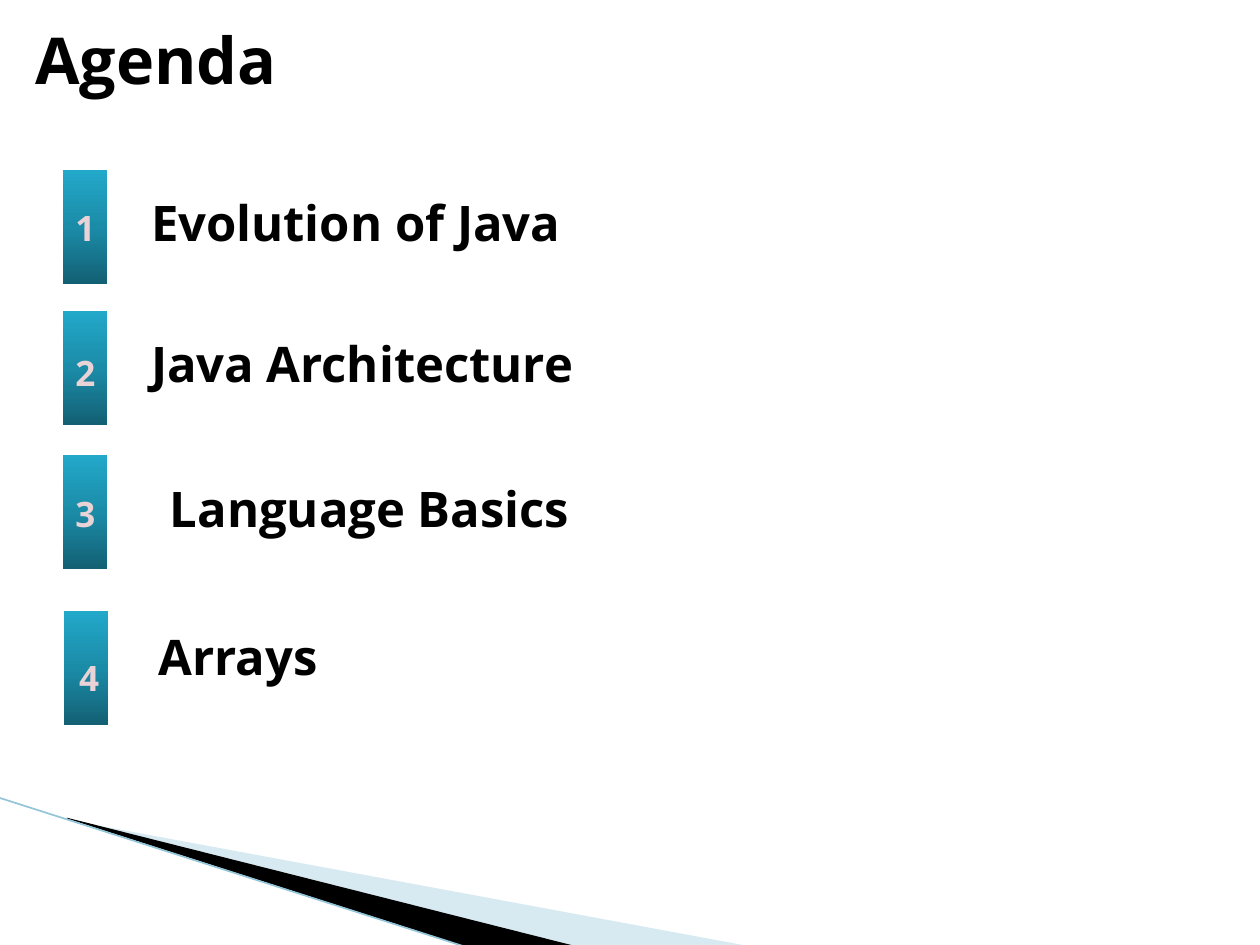
from copy import deepcopy

from lxml import etree
from pptx import Presentation
from pptx.dml.color import RGBColor
from pptx.enum import shapes, text
from pptx.oxml.ns import qn
from pptx.util import Pt

FONT = "Open Sans"
BLACK = RGBColor(0x00, 0x00, 0x00)
NUMBER_PINK = RGBColor(0xE9, 0xD3, 0xD6)
PALE_BLUE = RGBColor(0x9C, 0xCA, 0xDC)
EDGE_BLUE = RGBColor(0x93, 0xC5, 0xD8)
BADGE_STOPS = [
    (0, RGBColor(0x13, 0x60, 0x74)),
    (0.5, RGBColor(0x1B, 0x8C, 0xA8)),
    (1, RGBColor(0x22, 0xA8, 0xC9)),
]

# Topic, its left and top, badge left and top, number left and top
AGENDA = [
    ("Evolution of Java", 79.2, 106.6, 36, 97.2, 36, 114.5),
    ("Java Architecture", 79.2, 187.2, 36, 177.8, 36, 197.3),
    ("Language Basics", 90, 270, 36, 259.9, 36, 277.9),
    ("Arrays", 83.5, 354.2, 36.7, 349.2, 38.2, 371.5),
]


def add_label(slide, wording, left, top, width, height, size, color=BLACK,
              align=text.PP_ALIGN.LEFT, anchor=text.MSO_ANCHOR.TOP):
    label = slide.shapes.add_textbox(Pt(left), Pt(top), Pt(width), Pt(height))
    frame = label.text_frame
    frame.text = wording
    frame.word_wrap = True
    frame.vertical_anchor = anchor
    line = frame.paragraphs[0]
    line.alignment = align
    font = line.runs[0].font
    font.name, font.size, font.bold = FONT, Pt(size), True
    font.color.rgb = color


def add_badge(slide, left, top):
    badge = slide.shapes.add_shape(
        shapes.MSO_SHAPE.RECTANGLE, Pt(left), Pt(top), Pt(25.2), Pt(65))
    badge.shadow.inherit = False
    badge.line.fill.background()
    badge.fill.gradient()
    badge.fill.gradient_angle = 90
    # The default gradient has two stops; a third is needed
    stop_list = badge.fill._fill._gradFill.find(qn("a:gsLst"))
    stop_list.append(deepcopy(stop_list[-1]))
    for stop, (position, color) in zip(badge.fill.gradient_stops, BADGE_STOPS):
        stop.position = position
        stop.color.rgb = color


def add_wedge(slide, corners, color, alpha=None):
    points = [(Pt(x), Pt(y)) for x, y in corners]
    builder = slide.shapes.build_freeform(*points[0])
    builder.add_line_segments(points[1:], close=True)
    wedge = builder.convert_to_shape()
    wedge.shadow.inherit = False
    wedge.line.fill.background()
    wedge.fill.solid()
    wedge.fill.fore_color.rgb = color
    if alpha is not None:
        srgb = wedge.fill._xPr.find(".//" + qn("a:srgbClr"))
        etree.SubElement(srgb, qn("a:alpha"), val=str(alpha * 1000))


def add_edge(slide, start, end):
    edge = slide.shapes.add_connector(
        shapes.MSO_CONNECTOR.STRAIGHT, *map(Pt, start + end))
    edge.line.color.rgb = EDGE_BLUE
    edge.line.width = Pt(0.95)
    etree.SubElement(edge._element.spPr, qn("a:effectLst"))


def main():
    deck = Presentation()
    deck.slide_width, deck.slide_height = Pt(720), Pt(540)
    slide = deck.slides.add_slide(deck.slide_layouts[6])

    # Corner decoration
    add_wedge(slide, [(39.6, 468.7), (428.4, 540.7), (328.3, 540.7), (39.6, 468)],
              PALE_BLUE, alpha=40)
    add_wedge(slide, [(38.2, 467.3), (329, 540.7), (267.8, 541.4), (38.9, 468)],
              BLACK)
    add_edge(slide, (-0.7, 455.8), (267.1, 541.4))

    # Title
    add_label(slide, "Agenda", 13, 11.5, 668.2, 43.9, 36.9,
              anchor=text.MSO_ANCHOR.MIDDLE)

    # Numbered topics
    for number, row in enumerate(AGENDA, start=1):
        topic, left, top, badge_left, badge_top, number_left, number_top = row
        add_label(slide, topic, left, top, 552, 51, 28)
        add_badge(slide, badge_left, badge_top)
        add_label(slide, str(number), number_left, number_top, 24.5, 14.4, 20,
                  NUMBER_PINK, text.PP_ALIGN.CENTER)

    deck.save("out.pptx")


if __name__ == "__main__":
    main()
